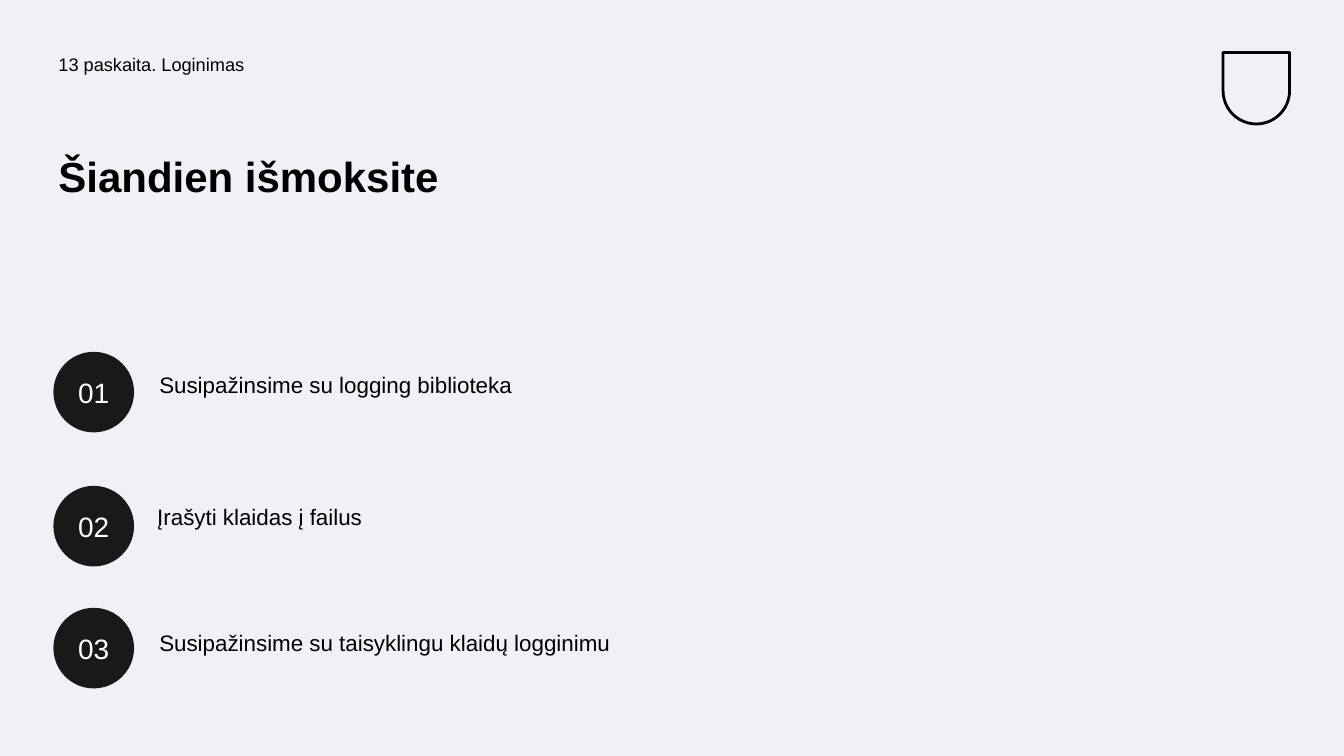
from pptx import Presentation
from pptx.dml.color import RGBColor
from pptx.enum.shapes import MSO_SHAPE
from pptx.enum.text import MSO_ANCHOR, MSO_AUTO_SIZE, PP_ALIGN
from pptx.util import Inches, Pt

COLORS = {"back": "F0F1F6", "text": "000000", "disc": "191919", "number": "FEFFFF"}


def color(name):
    return RGBColor.from_string(COLORS[name])


def write(shape, text, size, tone="text", bold=False, align=PP_ALIGN.LEFT,
          anchor=MSO_ANCHOR.TOP):
    """Fill a shape with one formatted paragraph."""
    frame = shape.text_frame
    frame.word_wrap = True
    frame.auto_size = MSO_AUTO_SIZE.NONE
    frame.vertical_anchor = anchor
    frame.margin_left = frame.margin_right = Inches(0.05)
    frame.margin_top = frame.margin_bottom = Inches(0.05)
    frame.text = text
    para = frame.paragraphs[0]
    para.alignment = align
    para.line_spacing = 0.9
    para.space_before = Pt(0)
    para.font.name = "Arial"
    para.font.size = Pt(size)
    para.font.bold = bold
    para.font.color.rgb = color(tone)


deck = Presentation()
deck.slide_width = Inches(13.33)
deck.slide_height = Inches(7.5)
slide = deck.slides.add_slide(deck.slide_layouts[5])
slide.background.fill.solid()
slide.background.fill.fore_color.rgb = color("back")
shapes = slide.shapes

# Plain badge in the top right corner
badge = shapes.add_shape(MSO_SHAPE.ROUND_2_SAME_RECTANGLE, Inches(12.13), Inches(0.52),
                         Inches(0.66), Inches(0.71))
badge.rotation = 180
badge.adjustments[0] = 0.5
badge.shadow.inherit = False
badge.fill.background()
badge.line.color.rgb = color("text")
badge.line.width = Pt(2)

# Lecture name and title
lecture = shapes.add_textbox(Inches(0.53), Inches(0.5), Inches(6.14), Inches(0.49))
write(lecture, "13 paskaita. Loginimas", 13)

title = shapes.title
title.left, title.top = Inches(0.53), Inches(1.5)
title.width, title.height = Inches(5.63), Inches(1.49)
write(title, "Šiandien išmoksite", 30, bold=True)

# Numbered goals: disc top, text left, text top, text
goals = [
    (3.49, 1.53, 3.66, "Susipažinsime su logging biblioteka"),
    (4.82, 1.51, 4.97, "Įrašyti klaidas į failus"),
    (6.03, 1.53, 6.22, "Susipažinsime su taisyklingu klaidų logginimu"),
]
for count, (top, left, line, text) in enumerate(goals, 1):
    goal = shapes.add_textbox(Inches(left), Inches(line), Inches(4.63), Inches(0.38))
    write(goal, text, 16)

    disc = shapes.add_shape(MSO_SHAPE.OVAL, Inches(0.53), Inches(top),
                            Inches(0.8), Inches(0.8))
    disc.shadow.inherit = False
    disc.fill.solid()
    disc.fill.fore_color.rgb = color("disc")
    disc.line.fill.background()
    write(disc, f"{count:02}", 20, "number", align=PP_ALIGN.CENTER,
          anchor=MSO_ANCHOR.MIDDLE)
    disc.text_frame.paragraphs[0].line_spacing = 1.0

deck.save("out.pptx")
